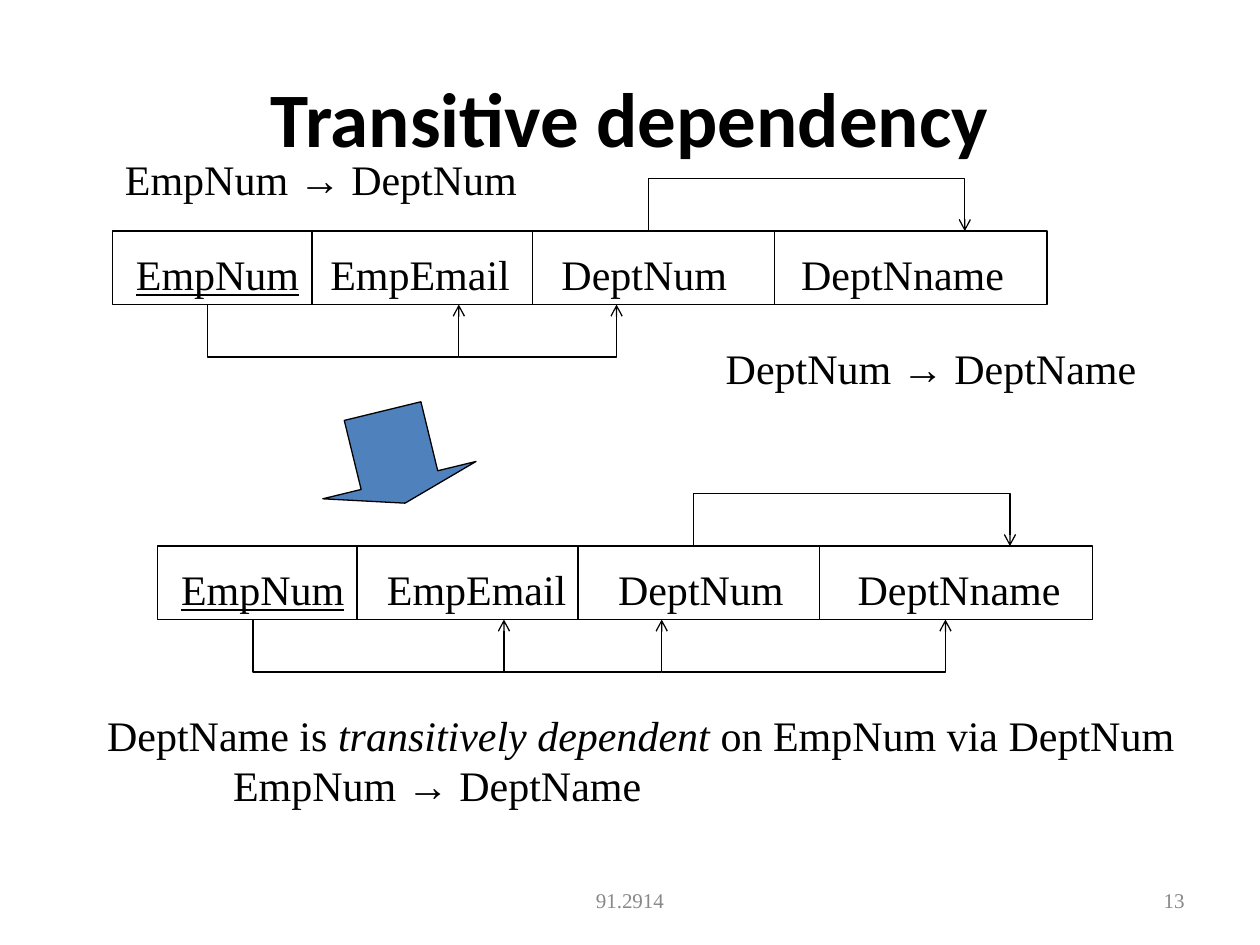
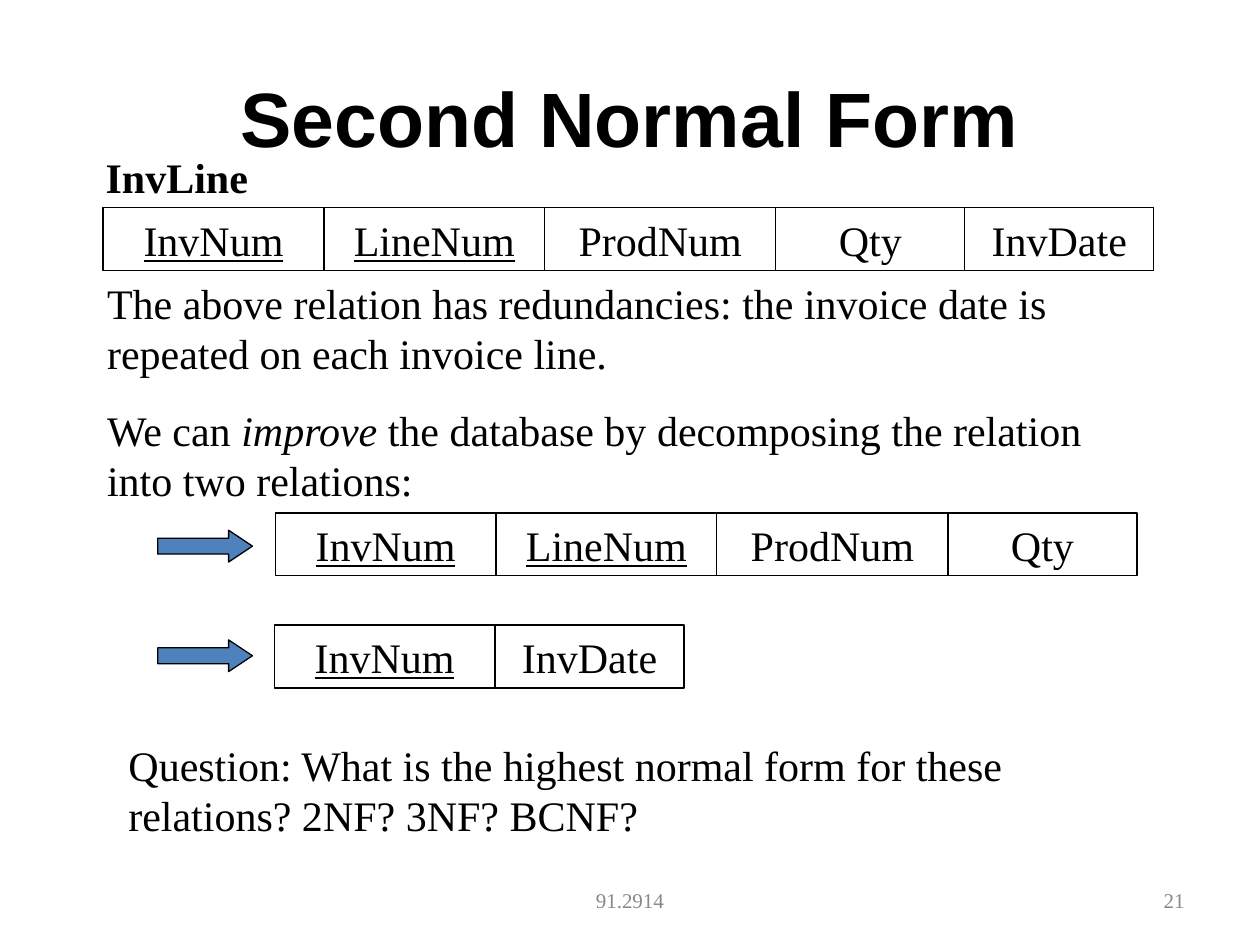
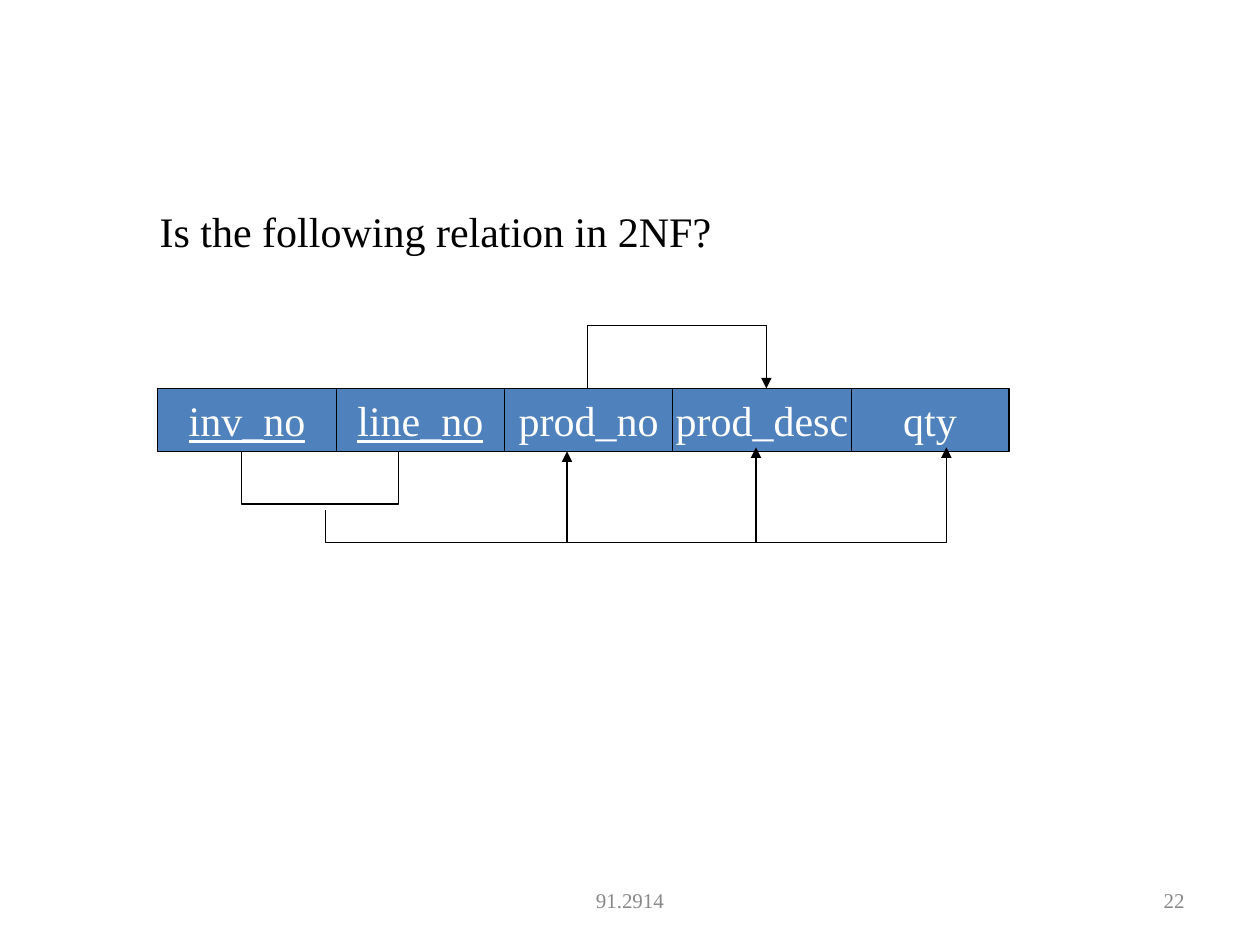
from dataclasses import dataclass, field
from itertools import accumulate
from typing import Any, NamedTuple

from lxml import etree
from pptx import Presentation
from pptx.dml.color import RGBColor
from pptx.enum.shapes import MSO_SHAPE
from pptx.enum.text import MSO_ANCHOR, MSO_AUTO_SIZE, PP_ALIGN
from pptx.oxml.ns import qn
from pptx.shapes.autoshape import Shape
from pptx.shapes.shapetree import GroupShapes, SlideShapes
from pptx.slide import Slide
from pptx.text.text import TextFrame
from pptx.util import Cm, Pt

RECTANGLE = MSO_SHAPE.RECTANGLE
DOWN_ARROW, RIGHT_ARROW = MSO_SHAPE.DOWN_ARROW, MSO_SHAPE.RIGHT_ARROW
LEFT, CENTER, RIGHT = PP_ALIGN.LEFT, PP_ALIGN.CENTER, PP_ALIGN.RIGHT
TOP, MIDDLE = MSO_ANCHOR.TOP, MSO_ANCHOR.MIDDLE
GROW = MSO_AUTO_SIZE.SHAPE_TO_FIT_TEXT
TITLE_ONLY, BLANK = 5, 6

Shapes = SlideShapes | GroupShapes


@dataclass(frozen=True)
class Theme:
    ink: RGBColor = RGBColor(0x00, 0x00, 0x00)
    paper: RGBColor = RGBColor(0xFF, 0xFF, 0xFF)
    accent: RGBColor = RGBColor(0x4F, 0x81, 0xBD)
    muted: RGBColor = RGBColor(0x89, 0x89, 0x89)
    body_font: str = "Times New Roman"
    symbol_font: str = "Arial"
    title_size: Pt = Pt(44)
    body_size: Pt = Pt(24)
    footer_size: Pt = Pt(12)
    line_width: Pt = Pt(0.75)
    paragraph_gap: Pt = Pt(15)


THEME = Theme()
BODY = {"name": THEME.body_font, "size": THEME.body_size}
FOOTER = {"name": THEME.body_font, "size": THEME.footer_size}


class Box(NamedTuple):
    """Left, top, width and height in centimetres."""

    left: float
    top: float
    width: float
    height: float

    def lengths(self) -> tuple[Cm, ...]:
        return tuple(Cm(side) for side in self)


class Run(NamedTuple):
    text: str
    font: dict[str, Any] = {}


@dataclass(frozen=True)
class Paragraph:
    runs: tuple[Run, ...]
    format: dict[str, Any] = field(default_factory=dict)
    tabs: tuple[float, ...] = ()


class Attribute(NamedTuple):
    name: str
    width: float
    is_key: bool = False


class Point(NamedTuple):
    x: float
    y: float


@dataclass(frozen=True)
class Dependency:
    """A line from start along a level to one or more targets."""

    start: Point
    level: float
    targets: tuple[Point, ...]
    head: str = ""

    def moved(self, origin: Point) -> "Dependency":
        def shift(point: Point) -> Point:
            return Point(point.x + origin.x, point.y + origin.y)

        return Dependency(shift(self.start), self.level + origin.y,
                          tuple(shift(target) for target in self.targets), self.head)


def set_format(target: Any, values: dict[str, Any]) -> None:
    for name, value in values.items():
        setattr(target, name, value)


def write(frame: TextFrame, paragraphs: tuple[Paragraph, ...],
          font: dict[str, Any], color: RGBColor) -> None:
    for number, content in enumerate(paragraphs):
        paragraph = frame.add_paragraph() if number else frame.paragraphs[0]
        set_format(paragraph, content.format)
        if content.tabs:
            stops = etree.SubElement(paragraph._p.get_or_add_pPr(), qn("a:tabLst"))
            for position in content.tabs:
                etree.SubElement(stops, qn("a:tab"), pos=str(Cm(position)), algn="l")
        for part in content.runs:
            run = paragraph.add_run()
            run.text = part.text
            set_format(run.font, font | part.font)
            run.font.color.rgb = color


def add_text(slide: Slide, box: Box, *paragraphs: Paragraph, wrap: bool = True) -> None:
    frame = slide.shapes.add_textbox(*box.lengths()).text_frame
    set_format(frame, {"word_wrap": wrap, "auto_size": GROW})
    write(frame, paragraphs, BODY, THEME.ink)


def plain(text: str, **format_values: Any) -> Paragraph:
    return Paragraph((Run(text),), format_values)


def implies(determinant: str, dependent: str, **format_values: Any) -> Paragraph:
    return Paragraph((Run(f"{determinant} "), Run("→", {"name": THEME.symbol_font}),
                      Run(f" {dependent}")), format_values)


def outline(shape: Shape, fill: RGBColor | None) -> None:
    shape.shadow.inherit = False
    shape.line.color.rgb = THEME.ink
    shape.line.width = THEME.line_width
    if fill is None:
        shape.fill.background()
    else:
        shape.fill.solid()
        shape.fill.fore_color.rgb = fill


def add_block_arrow(slide: Slide, kind: MSO_SHAPE, box: Box, head_length: float,
                    rotation: float = 0) -> None:
    arrow = slide.shapes.add_shape(kind, *box.lengths())
    outline(arrow, THEME.accent)
    arrow.adjustments[1] = head_length
    arrow.rotation = rotation


def add_cells(shapes: Shapes, origin: Point, height: float,
              attributes: tuple[Attribute, ...], fill: RGBColor | None) -> list[Shape]:
    """Draw the attributes of a relation side by side, without their names."""
    offsets = accumulate((attribute.width for attribute in attributes), initial=0)
    cells = []
    for attribute, offset in zip(attributes, offsets):
        box = Box(origin.x + offset, origin.y, attribute.width, height)
        cell = shapes.add_shape(RECTANGLE, *box.lengths())
        outline(cell, fill)
        cells.append(cell)
    return cells


def add_relation(shapes: Shapes, origin: Point, attributes: tuple[Attribute, ...],
                 fill: RGBColor, color: RGBColor, frame_format: dict[str, Any]) -> None:
    cells = add_cells(shapes, origin, 1.27, attributes, fill)
    for cell, attribute in zip(cells, attributes):
        set_format(cell.text_frame, frame_format)
        name = Run(attribute.name, {"underline": attribute.is_key})
        write(cell.text_frame, (Paragraph((name,), {"alignment": CENTER}),), BODY, color)


def add_dependency(shapes: Shapes, dependency: Dependency) -> None:
    level = dependency.level
    route = [dependency.start, Point(dependency.start.x, level)]
    for target in dependency.targets:
        corner = Point(target.x, level)
        first, *rest = [(Cm(x), Cm(y)) for x, y in (*route, corner, target)]
        builder = shapes.build_freeform(*first)
        builder.add_line_segments(rest, close=False)
        line = builder.convert_to_shape()
        outline(line, None)
        if dependency.head:
            etree.SubElement(line.line._get_or_add_ln(), qn("a:tailEnd"),
                             type=dependency.head)
        route = [corner]


def add_slide(deck: Any, number: int, title: str = "", title_font: str = "") -> Slide:
    slide = deck.slides.add_slide(deck.slide_layouts[TITLE_ONLY if title else BLANK])
    if title:
        heading = slide.shapes.title
        sides = Box(1.27, 0.76, 22.86, 3.18).lengths()
        set_format(heading, dict(zip(("left", "top", "width", "height"), sides)))
        heading.text_frame.vertical_anchor = MIDDLE
        write(heading.text_frame, (plain(title, alignment=CENTER),),
              {"name": title_font, "size": THEME.title_size, "bold": True}, THEME.ink)
    for text, left, width, alignment in (("91.2914", 8.68, 8.04, CENTER),
                                         (str(number), 18.2, 5.93, RIGHT)):
        box = Box(left, 17.65, width, 1.01)
        frame = slide.shapes.add_textbox(*box.lengths()).text_frame
        set_format(frame, {"word_wrap": True, "vertical_anchor": MIDDLE})
        write(frame, (plain(text, alignment=alignment),), FOOTER, THEME.muted)
    return slide


EMPLOYEE = (Attribute("EmpNum", 4.02, True), Attribute("EmpEmail", 4.45),
            Attribute("DeptNum", 4.87), Attribute("DeptNname", 5.5))
EMPLOYEE_HEIGHT = 1.48
EMPLOYEE_TABS = (3.92, 8.58, 13.41)
DEPARTMENT_NAME = Dependency(Point(10.8, 0), -1.06, (Point(17.18, 0),), "arrow")


def add_employee_relation(slide: Slide, origin: Point, dependents: tuple[float, ...],
                          tab_shift: float = 0) -> None:
    from_employee = Dependency(Point(1.92, EMPLOYEE_HEIGHT), 2.54,
                               tuple(Point(x, EMPLOYEE_HEIGHT) for x in dependents),
                               "arrow")
    for dependency in (from_employee, DEPARTMENT_NAME):
        add_dependency(slide.shapes, dependency.moved(origin))
    add_cells(slide.shapes, origin, EMPLOYEE_HEIGHT, EMPLOYEE, None)
    key, *others = EMPLOYEE
    names = Paragraph((Run(key.name, {"underline": True}),
                       *(Run(f"\t{other.name}") for other in others)),
                      {"alignment": LEFT},
                      tuple(tab + tab_shift for tab in EMPLOYEE_TABS))
    add_text(slide, Box(origin.x + 0.22, origin.y + 0.22, 20.52, 1.27), names)


def build_transitive_dependency(deck: Any) -> None:
    slide = add_slide(deck, 13, "Transitive dependency", "Calibri")
    add_employee_relation(slide, Point(2.27, 4.66), (6.98, 10.16))
    add_block_arrow(slide, DOWN_ARROW, Box(6.35, 8.26, 3.18, 1.91), 0.25, 346.3)
    add_employee_relation(slide, Point(3.18, 11.01), (6.98, 10.16, 15.88), 0.23)
    add_text(slide, Box(1.91, 14.17, 22.66, 2.29),
             Paragraph((Run("DeptName is "),
                        Run("transitively dependent", {"italic": True}),
                        Run(" on EmpNum via DeptNum"))),
             implies("EmpNum", "DeptName", level=2))
    add_text(slide, Box(2.27, 2.97, 8.41, 1.27), implies("EmpNum", "DeptNum"), wrap=False)
    add_text(slide, Box(14.38, 6.78, 8.79, 1.27), implies("DeptNum", "DeptName"),
             wrap=False)


def build_second_normal_form(deck: Any) -> None:
    slide = add_slide(deck, 21, "Second Normal Form", "Arial")
    invoice = Attribute("InvNum", 4.45, True)
    line_details = (Attribute("LineNum", 4.45, True), Attribute("ProdNum", 4.66),
                    Attribute("Qty", 3.81))
    date = Attribute("InvDate", 3.81)
    gap = THEME.paragraph_gap
    add_text(slide, Box(1.88, 2.92, 3.38, 1.27),
             Paragraph((Run("InvLine", {"bold": True}),)), wrap=False)
    add_text(slide, Box(1.91, 5.46, 21.59, 4.85),
             plain("The above relation has redundancies: the invoice date is "
                   "repeated on each invoice line.", space_before=gap),
             Paragraph((Run("We can "), Run("improve", {"italic": True}),
                        Run(" the database by decomposing the relation "
                            "into two relations:")), {"space_before": gap}))
    for origin, attributes in ((Point(2.08, 4.19), (invoice, *line_details, date)),
                               (Point(5.55, 10.34), (invoice, *line_details)),
                               (Point(5.53, 12.6), (invoice, date))):
        add_relation(slide.shapes, origin, attributes, THEME.paper, THEME.ink,
                     {"vertical_anchor": TOP, "word_wrap": True})
    for top in (10.69, 12.9):
        add_block_arrow(slide, RIGHT_ARROW, Box(3.18, top, 1.91, 0.64), 0.75)
    add_text(slide, Box(2.34, 14.78, 20.75, 2.29),
             plain("Question: What is the highest normal form for these relations? "
                   "2NF? 3NF? BCNF?", space_before=gap))


def build_relation_question(deck: Any) -> None:
    slide = add_slide(deck, 22)
    add_text(slide, Box(2.97, 4.01, 11.63, 1.27),
             plain("Is the following relation in 2NF?"), wrap=False)
    diagram = slide.shapes.add_group_shape().shapes
    top, bottom = 7.83, 9.1
    invoice_line = (Attribute("inv_no", 3.6, True), Attribute("line_no", 3.39, True),
                    Attribute("prod_no", 3.39), Attribute("prod_desc", 3.6),
                    Attribute("qty", 3.18))
    add_relation(diagram, Point(3.18, top), invoice_line, THEME.accent, THEME.paper,
                 {"vertical_anchor": MIDDLE, "word_wrap": False})
    joint_key = Dependency(Point(4.87, bottom), 10.16, (Point(8.04, bottom),))
    from_key = Dependency(Point(6.56, 10.29), 10.94,
                          (Point(11.43, bottom), Point(15.24, 9.02), Point(19.08, 9.02)),
                          "triangle")
    from_product = Dependency(Point(11.85, top), 6.56, (Point(15.45, top),), "triangle")
    for dependency in (joint_key, from_key, from_product):
        add_dependency(diagram, dependency)


def main() -> None:
    deck = Presentation()
    deck.slide_width, deck.slide_height = Cm(25.4), Cm(19.05)
    build_transitive_dependency(deck)
    build_second_normal_form(deck)
    build_relation_question(deck)
    deck.save("out.pptx")


if __name__ == "__main__":
    main()
